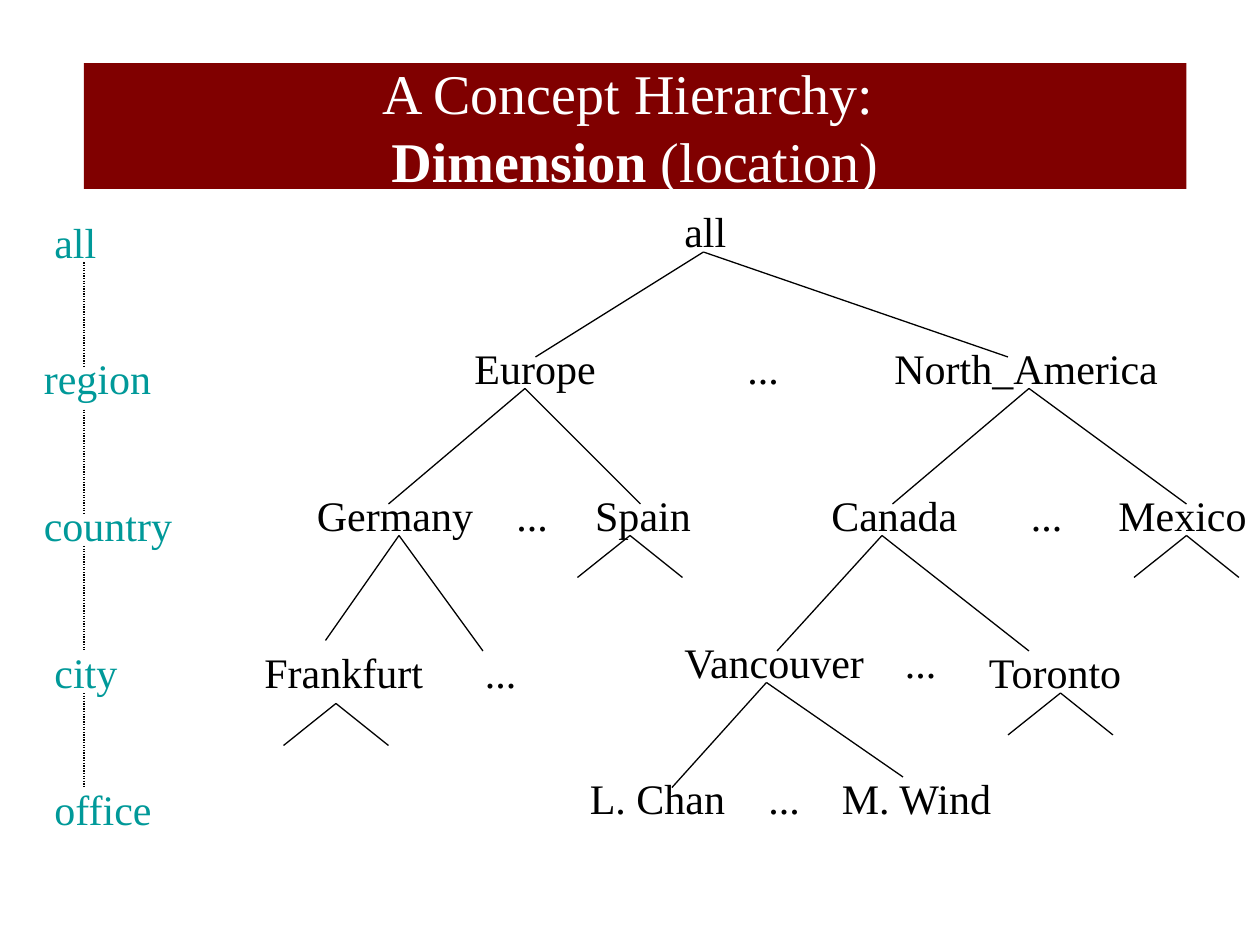
from lxml import etree
from pptx import Presentation
from pptx.dml.color import RGBColor
from pptx.enum.dml import MSO_LINE
from pptx.enum.shapes import MSO_CONNECTOR
from pptx.enum.text import MSO_ANCHOR, MSO_AUTO_SIZE, PP_ALIGN
from pptx.oxml.ns import qn
from pptx.util import Pt

STRAIGHT = MSO_CONNECTOR.STRAIGHT
DOTTED = MSO_LINE.ROUND_DOT
FIT_SHAPE, NO_FIT = MSO_AUTO_SIZE.SHAPE_TO_FIT_TEXT, MSO_AUTO_SIZE.NONE
MIDDLE, CENTER = MSO_ANCHOR.MIDDLE, PP_ALIGN.CENTER
FONT = "Times New Roman"
COLORS = {"banner": "800000", "title": "FFFFFF", "node": "000000",
          "level": "009999", "line": "000000"}
RGB = {name: RGBColor.from_string(value) for name, value in COLORS.items()}


def add_label(text, x, y, w, color):
    tb = slide.shapes.add_textbox(Pt(x), Pt(y), Pt(w), Pt(36))
    tf = tb.text_frame
    tf.word_wrap = False
    tf.auto_size = FIT_SHAPE
    tf.text = text
    font = tf.paragraphs[0].runs[0].font
    font.name, font.size = FONT, Pt(24)
    font.color.rgb = RGB[color]


def add_line(x1, y1, x2, y2, dash=None):
    line = slide.shapes.add_connector(STRAIGHT, Pt(x1), Pt(y1), Pt(x2), Pt(y2))
    line.line.color.rgb = RGB["line"]
    line.line.width = Pt(0.75)
    if dash:
        line.line.dash_style = dash
    etree.SubElement(line._element.spPr, qn("a:effectLst"))


prs = Presentation()
prs.slide_width, prs.slide_height = Pt(720), Pt(540)
slide = prs.slides.add_slide(prs.slide_layouts[5])

# Title banner
title = slide.shapes.title
title.left, title.top, title.width, title.height = Pt(48), Pt(36), Pt(630), Pt(72)
title.fill.solid()
title.fill.fore_color.rgb = RGB["banner"]
tf = title.text_frame
tf.auto_size = NO_FIT
tf.vertical_anchor = MIDDLE
p = tf.paragraphs[0]
p.alignment = CENTER
for text, bold in [("A Concept Hierarchy: ", False), ("Dimension", True),
                   (" (location)", False)]:
    if bold:
        p.add_line_break()
    r = p.add_run()
    r.text = text
    r.font.name, r.font.size, r.font.bold = FONT, Pt(32), bold
    r.font.color.rgb = RGB["title"]

# Level names: text, left, top, width
levels = [("all", 24, 120, 39), ("region", 18, 198, 76), ("country", 18, 282, 88),
          ("city", 24, 366, 51), ("office", 24, 444, 71)]
for text, x, y, w in levels:
    add_label(text, x, y, w, "level")
for y1, y2 in [(150, 210), (234, 294), (312, 372), (396, 450)]:
    add_line(48, y1, 48, y2, DOTTED)

# Tree nodes: text, left, top, width
nodes = [
    ("all", 384, 114, 39),
    ("Europe", 264, 192, 84), ("North_America", 504, 192, 165),
    ("Germany", 174, 276, 104), ("Spain", 333, 276, 70),
    ("Canada", 468, 276, 87), ("Mexico", 632, 276, 88),
    ("Frankfurt", 144, 366, 106), ("Vancouver", 384, 360, 120),
    ("Toronto", 558, 366, 92),
    ("L. Chan", 330, 438, 92), ("M. Wind", 474, 438, 101),
]
gaps = [(420, 192), (288, 276), (582, 276), (270, 366), (510, 360), (432, 438)]
for text, x, y, w in nodes + [("...", x, y, 33) for x, y in gaps]:
    add_label(text, x, y, w, "node")

# Branches: a parent point and the points of its two children
branches = [
    ((402, 144), (306, 204), (576, 204)),
    ((300, 222), (222, 288), (366, 288)),
    ((588, 222), (510, 288), (678, 288)),
    ((228, 306), (186, 366), (276, 372)),
    ((504, 306), (444, 372), (588, 372)),
    ((438, 390), (384, 450), (516, 444)),
]
# Nodes whose children are not named end in a short fork
for x, y in [(360, 306), (678, 306), (192, 402), (606, 396)]:
    branches.append(((x, y), (x - 30, y + 24), (x + 30, y + 24)))
for parent, *children in branches:
    for child in children:
        add_line(*parent, *child)

prs.save("out.pptx")
